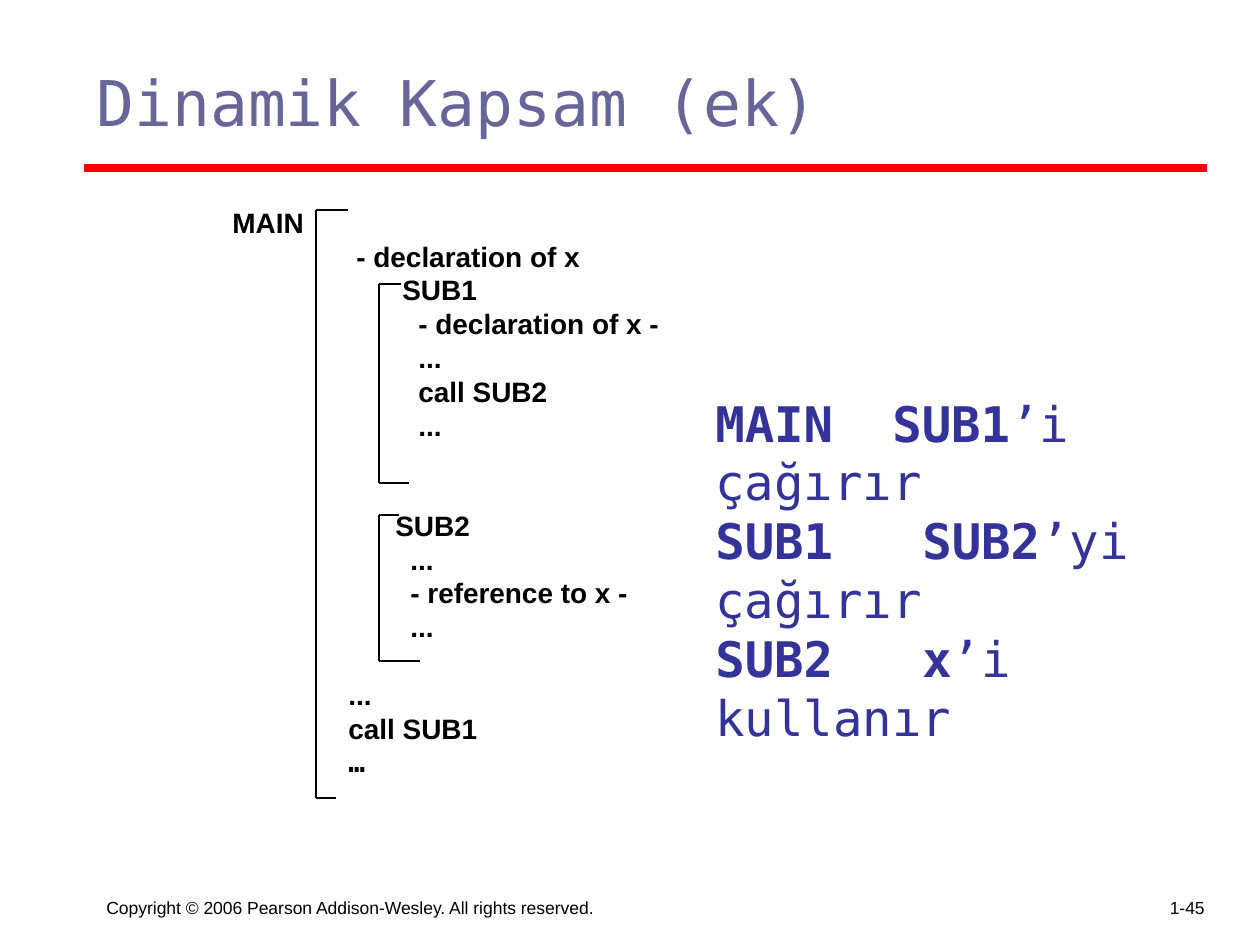
from dataclasses import dataclass

from lxml.etree import SubElement
from pptx import Presentation
from pptx.dml.color import RGBColor
from pptx.enum.shapes import MSO_CONNECTOR
from pptx.enum.text import MSO_ANCHOR, PP_ALIGN
from pptx.oxml.ns import qn
from pptx.util import Inches, Pt

BLACK = RGBColor(0x00, 0x00, 0x00)
RED = RGBColor(0xFF, 0x00, 0x00)
INDIGO = RGBColor(0x33, 0x33, 0x99)
SLATE = RGBColor(0x66, 0x66, 0x99)
SANS = "Arial"
MONO = "DejaVu Sans Mono"
PX_PER_INCH = 126


@dataclass
class CodeLine:
    text: str
    indent: int = 0
    before: float = 0
    font: str = SANS


@dataclass
class Bracket:
    left: int
    top: int
    bottom: int
    top_end: int
    bottom_end: int


@dataclass
class Step:
    subject: str
    target: str
    rest: str
    tab: int


CODE = [
    CodeLine("MAIN"),
    CodeLine("- declaration of x", 124),
    CodeLine("SUB1", 170),
    CodeLine("- declaration of x -", 186),
    CodeLine("...", 186),
    CodeLine("call SUB2", 186),
    CodeLine("...", 186),
    CodeLine("SUB2", 163, 38),
    CodeLine("...", 178),
    CodeLine("- reference to x -", 178),
    CodeLine("...", 178),
    CodeLine("...", 116, 19.3),
    CodeLine("call SUB1", 116),
    CodeLine("…", 116, font=MONO),
]
BRACKETS = [
    Bracket(316, 210, 798, 348, 336),
    Bracket(379, 284, 483, 401, 409),
    Bracket(379, 515, 661, 399, 420),
]
STEPS = [
    Step("MAIN", "SUB1", "’i çağırır", 177),
    Step("SUB1", "SUB2", "’yi çağırır", 207),
    Step("SUB2", "x", "’i kullanır", 207),
]


def px(n: int) -> int:
    return round(n * Inches(1) / PX_PER_INCH)


def add_box(s, left: int, top: int, width: int, height: int, anchor=MSO_ANCHOR.TOP):
    tf = s.shapes.add_textbox(px(left), px(top), px(width), px(height)).text_frame
    tf.word_wrap = True
    tf.vertical_anchor = anchor
    return tf


def add_line(s, x1: int, y1: int, x2: int, y2: int, color: RGBColor, width: float) -> None:
    sp = s.shapes.add_connector(MSO_CONNECTOR.STRAIGHT, px(x1), px(y1), px(x2), px(y2))
    sp.line.color.rgb = color
    sp.line.width = Pt(width)
    SubElement(sp._element.spPr, qn("a:effectLst"))


def add_bracket(s, b: Bracket) -> None:
    add_line(s, b.left, b.top, b.top_end, b.top, BLACK, 1)
    add_line(s, b.left, b.top, b.left, b.bottom, BLACK, 1)
    add_line(s, b.left, b.bottom, b.bottom_end, b.bottom, BLACK, 1)


def style(p, font: str, size: int, color: RGBColor, bold: bool = False) -> None:
    for r in p.runs:
        r.font.name = font
        r.font.size = Pt(size)
        r.font.color.rgb = color
        r.font.bold = bold


def next_paragraph(tf, i: int):
    return tf.add_paragraph() if i else tf.paragraphs[0]


def add_code(s, lines: list[CodeLine]) -> None:
    tf = add_box(s, 220, 199, 987, 620)
    for i, line in enumerate(lines):
        p = next_paragraph(tf, i)
        p.text = line.text
        p.line_spacing = Pt(19.3)
        if line.before:
            p.space_before = Pt(line.before)
        p._p.get_or_add_pPr().set("marL", str(px(line.indent)))
        style(p, line.font, 16, BLACK, True)


def add_steps(s, steps: list[Step]) -> None:
    tf = add_box(s, 703, 387, 539, 292)
    for i, step in enumerate(steps):
        p = next_paragraph(tf, i)
        p.text = f"{step.subject}\t{step.target}"
        p.line_spacing = Pt(33.6)
        tabs = SubElement(p._p.get_or_add_pPr(), qn("a:tabLst"))
        SubElement(tabs, qn("a:tab"), pos=str(px(step.tab)), algn="l")
        style(p, MONO, 28, INDIGO, True)
        r = p.add_run()
        r.text = step.rest
        r.font.name = MONO
        r.font.size = Pt(28)
        r.font.color.rgb = INDIGO
        r.font.bold = False


def add_label(tf, text: str, font: str, size: int, color: RGBColor, align=PP_ALIGN.LEFT) -> None:
    p = tf.paragraphs[0]
    p.text = text
    p.alignment = align
    style(p, font, size, color)


def main() -> None:
    prs = Presentation()
    prs.slide_width = Inches(10)
    prs.slide_height = Inches(7.5)
    s = prs.slides.add_slide(prs.slide_layouts[6])

    add_line(s, 84, 168, 1207, 168, RED, 4.5)
    add_label(add_box(s, 94, 861, 577, 63, MSO_ANCHOR.BOTTOM),
              "Copyright © 2006 Pearson Addison-Wesley. All rights reserved.", SANS, 10, BLACK)
    add_label(add_box(s, 955, 861, 262, 63, MSO_ANCHOR.BOTTOM),
              "1-45", SANS, 10, BLACK, PP_ALIGN.RIGHT)
    add_code(s, CODE)
    for b in BRACKETS:
        add_bracket(s, b)
    add_steps(s, STEPS)
    add_label(add_box(s, 84, 57, 1124, 153), "Dinamik Kapsam (ek)", MONO, 36, SLATE)

    prs.save("out.pptx")


if __name__ == "__main__":
    main()
